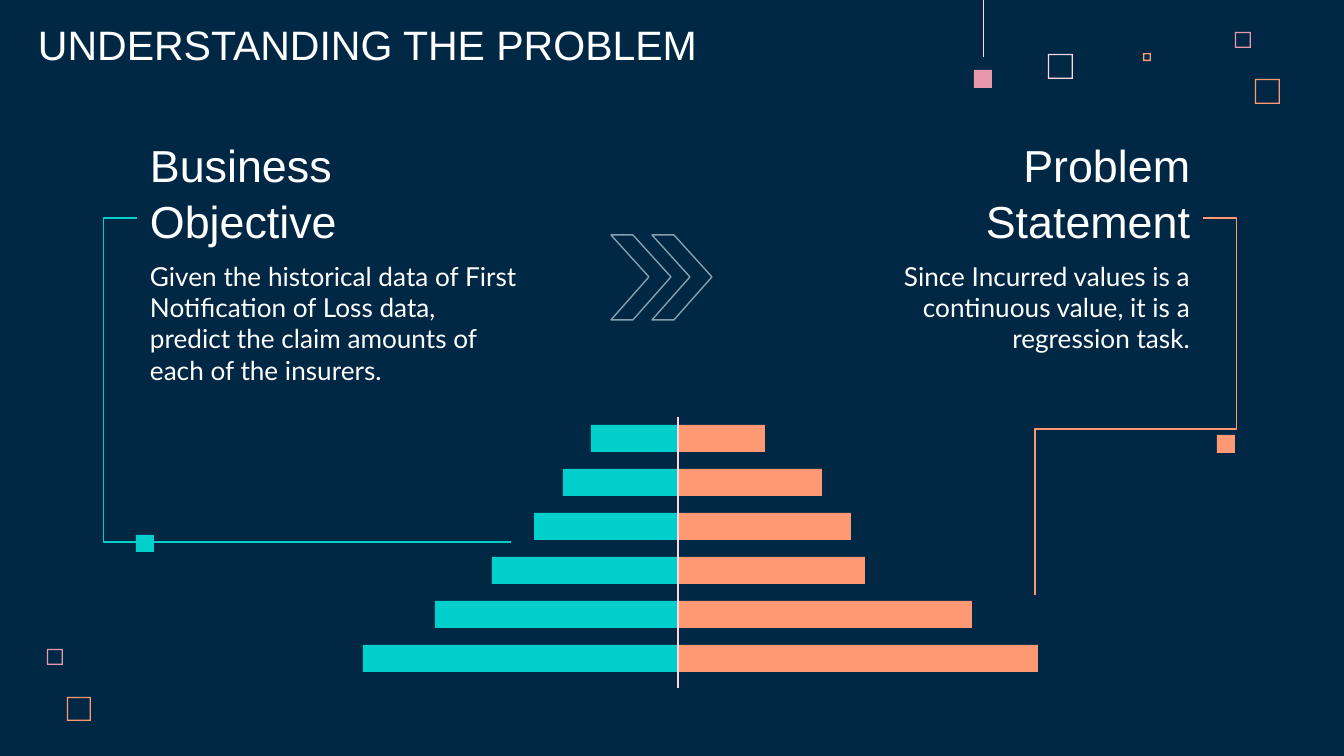
from dataclasses import dataclass

from lxml import etree
from pptx import Presentation
from pptx.dml.color import RGBColor
from pptx.enum.shapes import MSO_CONNECTOR, MSO_SHAPE
from pptx.enum.text import MSO_ANCHOR, PP_ALIGN
from pptx.oxml.ns import qn
from pptx.util import Pt

RECTANGLE, FRAME = MSO_SHAPE.RECTANGLE, MSO_SHAPE.FRAME
STRAIGHT, ELBOW = MSO_CONNECTOR.STRAIGHT, MSO_CONNECTOR.ELBOW
TOP, BOTTOM = MSO_ANCHOR.TOP, MSO_ANCHOR.BOTTOM
LEFT, RIGHT = PP_ALIGN.LEFT, PP_ALIGN.RIGHT
EMU_PER_PX = 914400 / 134.4


@dataclass(frozen=True)
class Theme:
    background: str = "002845"
    text: str = "FFFFFF"
    teal: str = "00CFCC"
    orange: str = "FF9973"
    pink: str = "E898AC"
    blush: str = "FFD6E1"
    steel: str = "869FB2"
    heading_font: str = "Arial"
    body_font: str = "Lato"
    title_size: int = 22
    heading_size: int = 24
    body_size: int = 14
    line_width: float = 0.75


THEME = Theme()


def px(length):
    return round(length * EMU_PER_PX)


def color(value):
    return RGBColor.from_string(value)


def apply_format(target, values):
    for name, value in values.items():
        setattr(target, name, value)


def add_block(slide, box, fill, kind=RECTANGLE):
    shape = slide.shapes.add_shape(kind, *map(px, box))
    shape.shadow.inherit = False
    shape.fill.solid()
    shape.fill.fore_color.rgb = color(fill)
    shape.line.fill.background()
    return shape


def add_hollow_square(slide, left, top, size, fill):
    shape = add_block(slide, (left, top, size, size), fill, FRAME)
    shape.adjustments[0] = 1.3 / size


def add_text(slide, box, text, font, size, align=LEFT, anchor=TOP, spacing=1.0):
    frame = slide.shapes.add_textbox(*map(px, box)).text_frame
    margin = px(13)
    apply_format(frame, {
        "word_wrap": True, "vertical_anchor": anchor,
        "margin_left": margin, "margin_right": margin,
        "margin_top": margin, "margin_bottom": margin,
    })
    paragraph = frame.paragraphs[0]
    apply_format(paragraph, {"alignment": align, "line_spacing": spacing})
    run = paragraph.add_run()
    run.text = text
    apply_format(run.font, {"name": font, "size": Pt(size)})
    run.font.color.rgb = color(THEME.text)


def add_line(slide, start, end, stroke, kind=STRAIGHT):
    connector = slide.shapes.add_connector(kind, *map(px, (*start, *end)))
    connector.line.color.rgb = color(stroke)
    connector.line.width = Pt(THEME.line_width)
    etree.SubElement(connector._element.spPr, qn("a:effectLst"))
    return connector


def add_elbow(slide, start, end, stroke, preset, adjustments):
    connector = add_line(slide, start, end, stroke, ELBOW)
    geometry = connector._element.spPr.find(qn("a:prstGeom"))
    geometry.set("prst", preset)
    guides = geometry.find(qn("a:avLst"))
    if guides is None:
        guides = etree.SubElement(geometry, qn("a:avLst"))
    for number, value in enumerate(adjustments, 1):
        guide = etree.SubElement(guides, qn("a:gd"))
        guide.set("name", f"adj{number}")
        guide.set("fmla", f"val {round(value * 100000)}")


def add_chevron(slide, left):
    top, middle, bottom, stem, depth = 235, 277, 320, 22, 38
    builder = slide.shapes.build_freeform(px(left), px(top))
    points = [(left + depth, middle), (left, bottom), (left + stem, bottom),
              (left + stem + depth, middle), (left + stem, top)]
    builder.add_line_segments([(px(x), px(y)) for x, y in points], close=True)
    shape = builder.convert_to_shape()
    shape.shadow.inherit = False
    shape.fill.background()
    shape.line.color.rgb = color(THEME.steel)
    shape.line.width = Pt(THEME.line_width)


def add_decorations(slide):
    for square in [
        (1048, 54, 25, THEME.blush), (1235, 32, 16, THEME.pink),
        (1143, 53, 8, THEME.orange), (1255, 79, 25, THEME.orange),
        (47, 649, 16, THEME.pink), (67, 697, 24, THEME.orange),
    ]:
        add_hollow_square(slide, *square)
    add_block(slide, (974, 70, 18, 18), THEME.pink)
    add_block(slide, (983, 0, 1, 57), THEME.blush)


def add_pyramid(slide):
    axis, top, pitch, height = 678, 425, 44, 27
    left_widths = [87, 115, 144, 186, 243, 315]
    right_widths = [87, 144, 173, 187, 294, 360]
    for row, (left, right) in enumerate(zip(left_widths, right_widths)):
        y = top + row * pitch
        add_block(slide, (axis, y, right, height), THEME.orange)
        add_block(slide, (axis - left, y, left, height), THEME.teal)
    add_line(slide, (axis, 417), (axis, 688), THEME.blush)


def add_topic(slide, left, width, heading, body, align):
    add_text(slide, (left, 176, width, 85), heading, THEME.heading_font,
             THEME.heading_size, align, BOTTOM, 1.05)
    add_text(slide, (left, 247, width, 164), body, THEME.body_font,
             THEME.body_size, align)


def main():
    presentation = Presentation()
    presentation.slide_width, presentation.slide_height = px(1344), px(756)
    slide = presentation.slides.add_slide(presentation.slide_layouts[6])
    slide.background.fill.solid()
    slide.background.fill.fore_color.rgb = color(THEME.background)

    add_decorations(slide)
    add_text(slide, (25, -3, 905, 85), "UNDERSTANDING THE PROBLEM",
             THEME.heading_font, THEME.title_size, anchor=BOTTOM)
    add_topic(slide, 137, 398, "Business Objective",
              "Given the historical data of First Notification of Loss data, "
              "predict the claim amounts of each of the insurers.", LEFT)
    add_topic(slide, 833, 370, "Problem Statement",
              "Since Incurred values is a continuous value, "
              "it is a regression task.", RIGHT)
    add_pyramid(slide)
    add_elbow(slide, (137, 218), (511, 542), THEME.teal,
              "bentConnector3", [-0.09])
    add_elbow(slide, (1203, 218), (1035, 595), THEME.orange,
              "bentConnector4", [-0.2, 0.56])
    add_block(slide, (136, 535, 18, 17), THEME.teal)
    add_block(slide, (1217, 435, 18, 18), THEME.orange)
    for left in (611, 652):
        add_chevron(slide, left)
    presentation.save("out.pptx")


if __name__ == "__main__":
    main()
